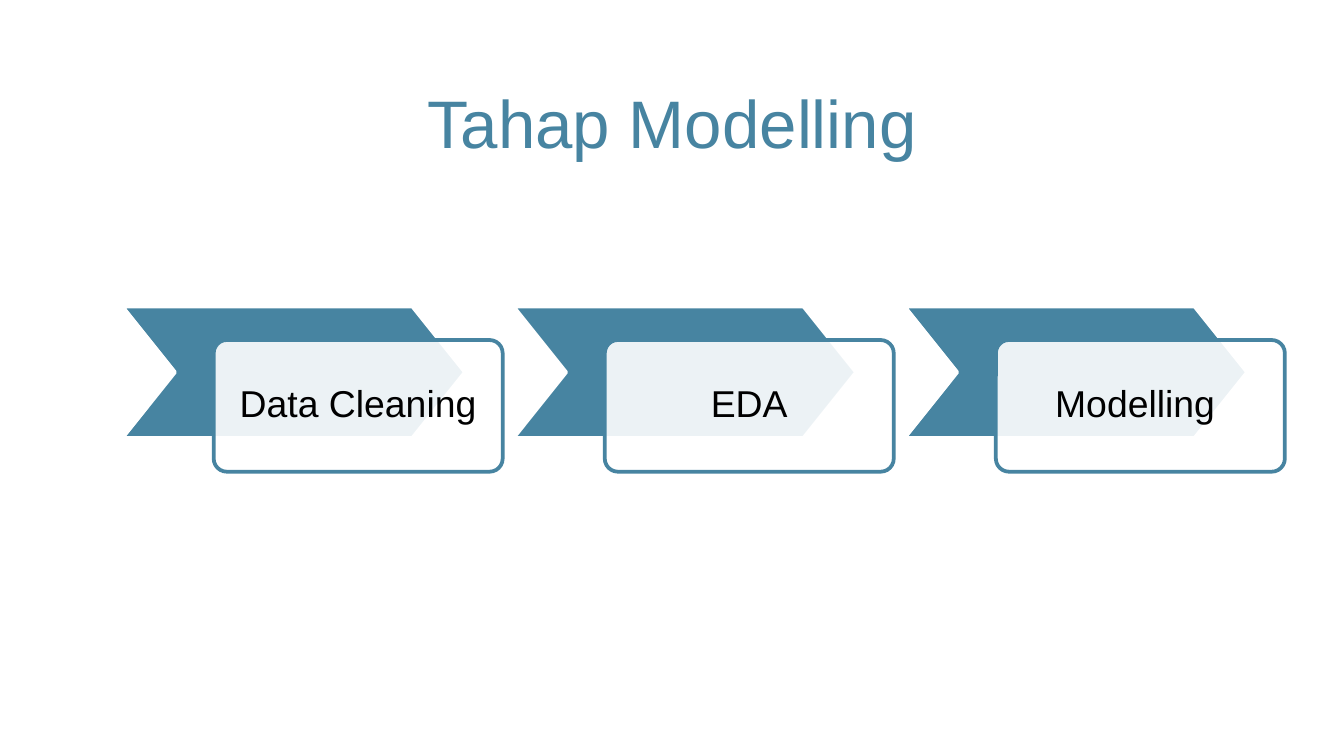
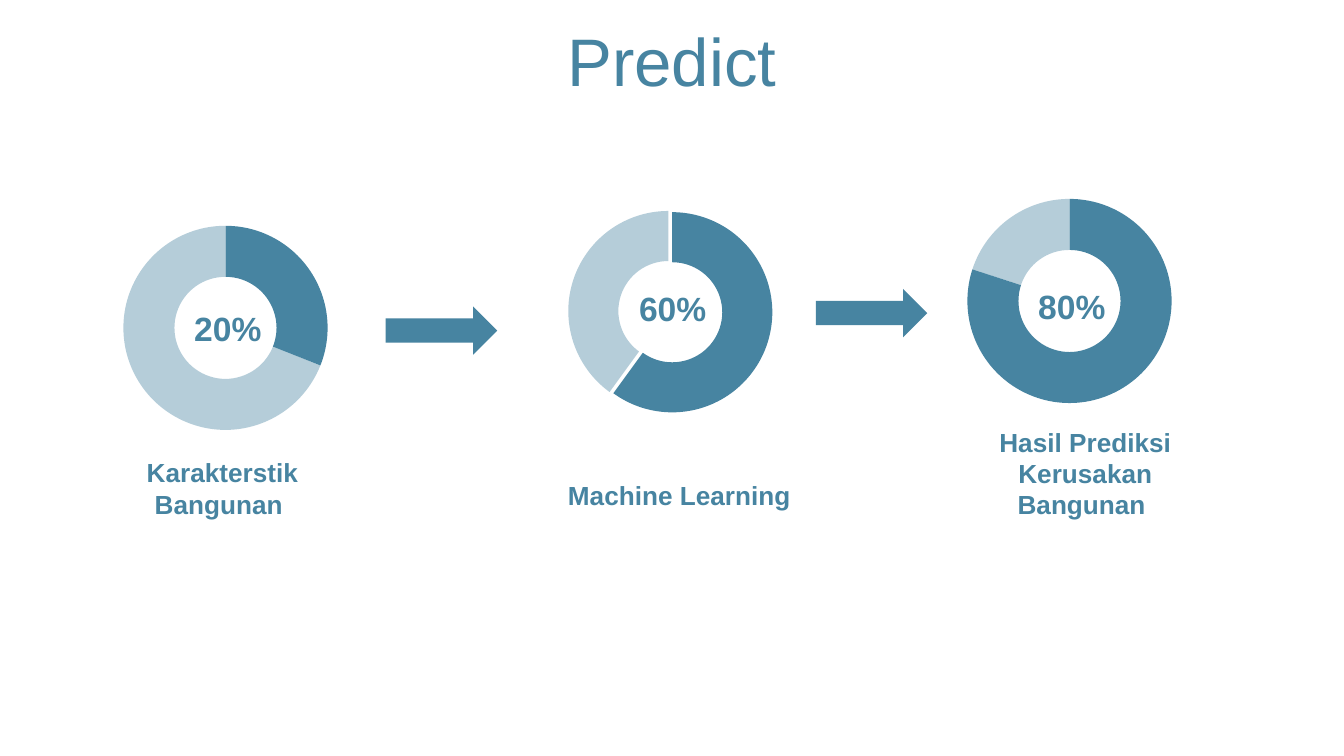
"""Builds two slides: the modelling stages and the prediction flow."""
from dataclasses import dataclass

from lxml.etree import SubElement
from pptx import Presentation
from pptx.chart.data import CategoryChartData
from pptx.dml.color import RGBColor
from pptx.enum.chart import XL_CHART_TYPE as Chart
from pptx.enum.shapes import MSO_SHAPE as Shape
from pptx.enum.text import MSO_ANCHOR as Anchor, MSO_AUTO_SIZE as AutoSize, PP_ALIGN as Align
from pptx.oxml import parse_xml
from pptx.oxml.ns import nsdecls, qn
from pptx.util import Inches, Pt


@dataclass(frozen=True)
class Theme:
    font: str = "Arial"
    blue: RGBColor = RGBColor(0x47, 0x84, 0xA1)
    white: RGBColor = RGBColor(0xFF, 0xFF, 0xFF)
    black: RGBColor = RGBColor(0, 0, 0)
    title: int = 36
    stage: int = 20
    percent: int = 18
    caption: int = 14
    outline: int = 2


THEME = Theme()
SLIDE_WIDTH = 10
SLIDE_HEIGHT = SLIDE_WIDTH * 9 / 16

STAGES = ["Data Cleaning", "EDA", "Modelling "]
STAGE_LEFT, STAGE_TOP, STAGE_STEP = 0.91, 2.28, 2.91
CARD_SHIFT = (0.68, 0.25)

DONUT_SIZE = (1.69, 1.52)
DONUT_PLOT = dict(x=0.04, y=0, w=0.9, h=1)
DONUTS = [
    dict(at=(0.85, 1.68), values=(31, 69), explode=0,
         percent="20%", percent_at=(1.3, 2.24),
         caption="Karakterstik Bangunan ", caption_at=(0.71, 3.35), caption_height=0.57),
    dict(at=(4.16, 1.56), values=(60, 40), explode=4,
         percent="60%", percent_at=(4.61, 2.09),
         caption="Machine Learning", caption_at=(4.11, 3.52), caption_height=0.34),
    dict(at=(7.13, 1.48), values=(80, 20), explode=0,
         percent="80%", percent_at=(7.58, 2.08),
         caption="Hasil Prediksi Kerusakan Bangunan ", caption_at=(7.13, 3.12),
         caption_height=0.81),
]
ARROWS = [(2.87, 2.28), (6.07, 2.15)]


def box(at, size):
    return [Inches(length) for length in (*at, *size)]


def write(frame, text, size, color, bold=False):
    frame.text = text
    frame.word_wrap = True
    paragraph = frame.paragraphs[0]
    paragraph.alignment = Align.CENTER
    font = paragraph.runs[0].font
    font.name, font.size, font.bold = THEME.font, Pt(size), bold
    font.color.rgb = color
    return paragraph


def set_alpha(color_element, percent):
    SubElement(color_element, qn("a:alpha")).set("val", str(percent * 1000))


def add_titled_slide(deck, text, top):
    slide = deck.slides.add_slide(deck.slide_layouts[5])
    title = slide.shapes.title
    title.left, title.top, title.width, title.height = box((0, top), (SLIDE_WIDTH, 0.63))
    frame = title.text_frame
    write(frame, text, THEME.title, THEME.blue).space_before = Pt(7)
    frame.auto_size = AutoSize.NONE
    frame.vertical_anchor = Anchor.MIDDLE
    return slide


def add_block(shapes, kind, at, size, fill, line=None):
    block = shapes.add_shape(kind, *box(at, size))
    block.shadow.inherit = False
    block.fill.solid()
    block.fill.fore_color.rgb = fill
    if line is None:
        block.line.fill.background()
    else:
        block.line.color.rgb = line
        block.line.width = Pt(THEME.outline)
    return block


def add_stage(shapes, name, left):
    chevron = add_block(shapes, Shape.CHEVRON, (left, STAGE_TOP), (2.55, 0.98),
                        THEME.blue, THEME.white)
    chevron.adjustments[0] = 0.4
    card = add_block(shapes, Shape.ROUNDED_RECTANGLE,
                     (left + CARD_SHIFT[0], STAGE_TOP + CARD_SHIFT[1]), (2.15, 0.98),
                     THEME.white, THEME.blue)
    card.adjustments[0] = 0.1
    set_alpha(card._element.spPr.find(qn("a:solidFill"))[0], 90)
    frame = card.text_frame
    frame.margin_left = frame.margin_right = Inches(0.15)
    frame.vertical_anchor = Anchor.MIDDLE
    write(frame, name, THEME.stage, THEME.black).line_spacing = 0.9


def add_label(slide, text, at, size, points):
    frame = slide.shapes.add_textbox(*box(at, size)).text_frame
    write(frame, text, points, THEME.blue, bold=True)
    frame.auto_size = AutoSize.SHAPE_TO_FIT_TEXT


def place_plot(plot_area):
    for layout in plot_area.findall(qn("c:layout")):
        plot_area.remove(layout)
    values = "".join(f'<c:{key} val="{value}"/>' for key, value in DONUT_PLOT.items())
    plot_area.insert(0, parse_xml(
        f'<c:layout {nsdecls("c")}><c:manualLayout><c:layoutTarget val="inner"/>'
        f'<c:xMode val="edge"/><c:yMode val="edge"/>{values}</c:manualLayout></c:layout>'))


def add_donut(slide, donut):
    data = CategoryChartData()
    data.categories = ["1", "2"]
    data.add_series("Series 1", donut["values"])
    chart = slide.shapes.add_chart(Chart.DOUGHNUT, *box(donut["at"], DONUT_SIZE), data).chart
    chart.has_legend = chart.has_title = False
    chart.font.name, chart.font.size = THEME.font, Pt(THEME.percent)
    chart.font.color.rgb = THEME.black
    series = chart.plots[0].series[0]
    for index in range(len(donut["values"])):
        look = series.points[index].format
        look.fill.solid()
        look.fill.fore_color.rgb = THEME.blue
        look.line.fill.background()
    ring = series._element
    set_alpha(ring.xpath("c:dPt[2]/c:spPr/a:solidFill/a:srgbClr")[0], 40)
    if donut["explode"]:
        ring.find(qn("c:tx")).addnext(
            parse_xml(f'<c:explosion {nsdecls("c")} val="{donut["explode"]}"/>'))
    plot_area = chart._chartSpace.chart.plotArea
    plot_area.xpath(".//c:holeSize")[0].set("val", "70")
    place_plot(plot_area)


def main():
    deck = Presentation()
    deck.slide_width, deck.slide_height = Inches(SLIDE_WIDTH), Inches(SLIDE_HEIGHT)

    modelling = add_titled_slide(deck, "Tahap Modelling", 0.59)
    stages = modelling.shapes.add_group_shape().shapes
    for index, name in enumerate(STAGES):
        add_stage(stages, name, STAGE_LEFT + index * STAGE_STEP)

    predict = add_titled_slide(deck, "Predict", 0.13)
    for donut in DONUTS:
        add_donut(predict, donut)
        add_label(predict, donut["caption"], donut["caption_at"],
                  (1.89, donut["caption_height"]), THEME.caption)
        add_label(predict, donut["percent"], donut["percent_at"], (0.79, 0.4), THEME.percent)
    for at in ARROWS:
        add_block(predict.shapes, Shape.RIGHT_ARROW, at, (0.83, 0.36), THEME.blue)

    deck.save("out.pptx")


if __name__ == "__main__":
    main()
